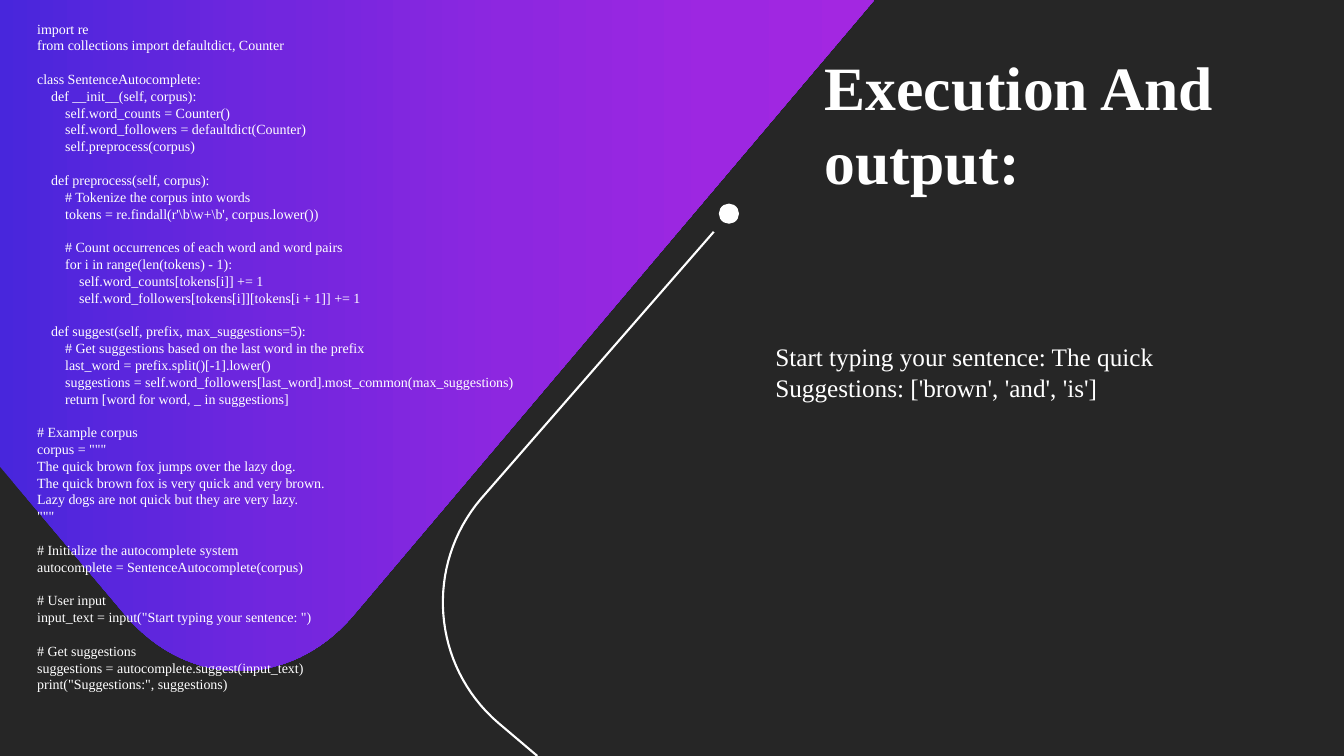
from lxml.etree import SubElement
from pptx import Presentation
from pptx.dml.color import RGBColor
from pptx.enum.shapes import MSO_SHAPE
from pptx.enum.text import MSO_ANCHOR, MSO_AUTO_SIZE, PP_ALIGN
from pptx.oxml.ns import qn
from pptx.util import Inches, Pt

FONT = "Times New Roman"
DARK, WHITE = "262626", "FFFFFF"
TITLE = "Execution And output:"
OUTPUT = ["Start typing your sentence: The quick", "Suggestions: ['brown', 'and', 'is']"]
CODE_BLOCKS = [
    ["import re", "from collections import defaultdict, Counter"],
    [
        "class SentenceAutocomplete:",
        "    def __init__(self, corpus):",
        "        self.word_counts = Counter()",
        "        self.word_followers = defaultdict(Counter)",
        "        self.preprocess(corpus)",
    ],
    [
        "    def preprocess(self, corpus):",
        "        # Tokenize the corpus into words",
        r"        tokens = re.findall(r'\b\w+\b', corpus.lower())",
    ],
    [
        "        # Count occurrences of each word and word pairs",
        "        for i in range(len(tokens) - 1):",
        "            self.word_counts[tokens[i]] += 1",
        "            self.word_followers[tokens[i]][tokens[i + 1]] += 1",
    ],
    [
        "    def suggest(self, prefix, max_suggestions=5):",
        "        # Get suggestions based on the last word in the prefix",
        "        last_word = prefix.split()[-1].lower()",
        "        suggestions = self.word_followers[last_word].most_common(max_suggestions)",
        "        return [word for word, _ in suggestions]",
    ],
    [
        "# Example corpus",
        'corpus = """',
        "The quick brown fox jumps over the lazy dog.",
        "The quick brown fox is very quick and very brown.",
        "Lazy dogs are not quick but they are very lazy.",
        '"""',
    ],
    ["# Initialize the autocomplete system", "autocomplete = SentenceAutocomplete(corpus)"],
    ["# User input", 'input_text = input("Start typing your sentence: ")'],
    [
        "# Get suggestions",
        "suggestions = autocomplete.suggest(input_text)",
        'print("Suggestions:", suggestions)',
    ],
]
PANEL_GRADIENT = [(0, "4826DC"), (3, "4826DC"), (32, "7226DE"),
                  (58, "8D27E0"), (82, "9D27E1"), (100, "A327E1")][:1] + [
                  (3, "4B26DC"), (32, "7226DE"), (58, "8D27E0"), (82, "9D27E1"), (100, "A327E1")]
PANEL_GRADIENT = [(0, "4826DC"), (32, "7226DE"), (58, "8D27E0"), (82, "9D27E1"), (100, "A327E1")]
PANEL_CURVE = [(3.5, 6.11), (2.88, 6.84), (1.87, 6.84), (1.25, 6.11)]
TRACK_CURVE = [(4.77, 4.95), (4.21, 5.61), (4.28, 6.6), (4.94, 7.17)]
CURVE_STEPS = 32


def color(value):
    return RGBColor.from_string(value)


def bezier(controls):
    points = []
    for step in range(CURVE_STEPS + 1):
        t = step / CURVE_STEPS
        weights = [(1 - t) ** 3, 3 * t * (1 - t) ** 2, 3 * t ** 2 * (1 - t), t ** 3]
        points.append(tuple(sum(w * c[axis] for w, c in zip(weights, controls)) for axis in (0, 1)))
    return points


def add_outline(slide, points, close):
    corners = [(Inches(x), Inches(y)) for x, y in points]
    builder = slide.shapes.build_freeform(*corners[0])
    builder.add_line_segments(corners[1:], close=close)
    shape = builder.convert_to_shape()
    shape.shadow.inherit = False
    return shape


def place(shape, left, top, width, height):
    shape.left, shape.top = Inches(left), Inches(top)
    shape.width, shape.height = Inches(width), Inches(height)
    frame = shape.text_frame
    frame.word_wrap = True
    frame.auto_size = MSO_AUTO_SIZE.NONE
    frame.vertical_anchor = MSO_ANCHOR.TOP
    return frame


def write(frame, lines, size, bold=False):
    for index, (text, indent, gap) in enumerate(lines):
        paragraph = frame.paragraphs[0] if index == 0 else frame.add_paragraph()
        paragraph.text = text
        paragraph.alignment = PP_ALIGN.LEFT
        paragraph.space_before = Pt(gap)
        font = paragraph.font
        font.name, font.size, font.bold = FONT, Pt(size), bold
        font.color.rgb = color(WHITE)
        properties = paragraph._p.get_or_add_pPr()
        properties.set("marL", str(Pt(indent)))
        properties.set("indent", "0")
        properties.insert_element_before(
            properties.makeelement(qn("a:buNone")), "a:tabLst", "a:defRPr", "a:extLst")


def code_lines():
    for number, block in enumerate(CODE_BLOCKS):
        for row, line in enumerate(block):
            text = line.lstrip()
            indent = (len(line) - len(text)) * 2.5
            yield text, indent, 12 if number and row == 0 else 0


def main():
    presentation = Presentation()
    presentation.slide_width, presentation.slide_height = Inches(13.33), Inches(7.5)
    slide = presentation.slides.add_slide(presentation.slide_layouts[1])
    slide.background.fill.solid()
    slide.background.fill.fore_color.rgb = color(DARK)

    panel = add_outline(slide, [(8.67, 0), *bezier(PANEL_CURVE), (0, 4.63), (0, 0)], True)
    panel.line.fill.background()
    panel.fill.gradient()
    panel.fill.gradient_angle = 0
    stops = panel.element.spPr.find(qn("a:gradFill")).find(qn("a:gsLst"))
    stops.clear()
    for position, value in PANEL_GRADIENT:
        stop = SubElement(stops, qn("a:gs"), pos=str(position * 1000))
        SubElement(stop, qn("a:srgbClr"), val=value)

    track = add_outline(slide, [(7.08, 2.3), *bezier(TRACK_CURVE), (5.33, 7.5)], False)
    track.fill.background()
    track.line.color.rgb = color(WHITE)
    track.line.width = Pt(1.5)

    dot = slide.shapes.add_shape(MSO_SHAPE.OVAL, Inches(7.13), Inches(2.02), Inches(0.2), Inches(0.2))
    dot.shadow.inherit = False
    dot.fill.solid()
    dot.fill.fore_color.rgb = color(WHITE)
    dot.line.fill.background()

    title, output = slide.shapes.title, slide.placeholders[1]
    for placeholder in (title, output):
        placeholder.element.getparent().append(placeholder.element)
    write(place(title, 8.08, 0.44, 4.3, 1.58), [(TITLE, 0, 0)], 44, True)
    write(place(output, 7.59, 3.34, 4.96, 1.01), [(line, 0, 0) for line in OUTPUT], 18)
    code = slide.shapes.add_textbox(0, 0, 0, 0)
    write(place(code, 0.27, 0.15, 6.79, 7.27), code_lines(), 10)

    presentation.save("out.pptx")


if __name__ == "__main__":
    main()
